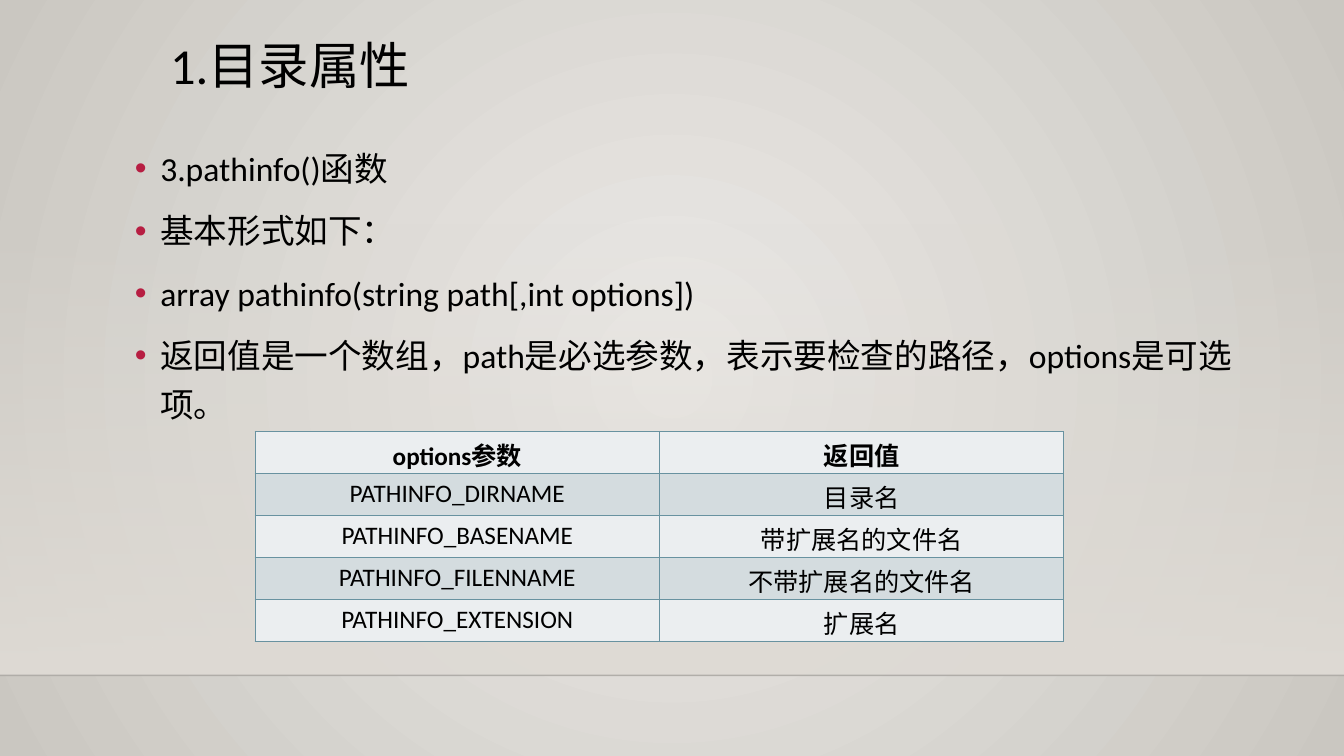
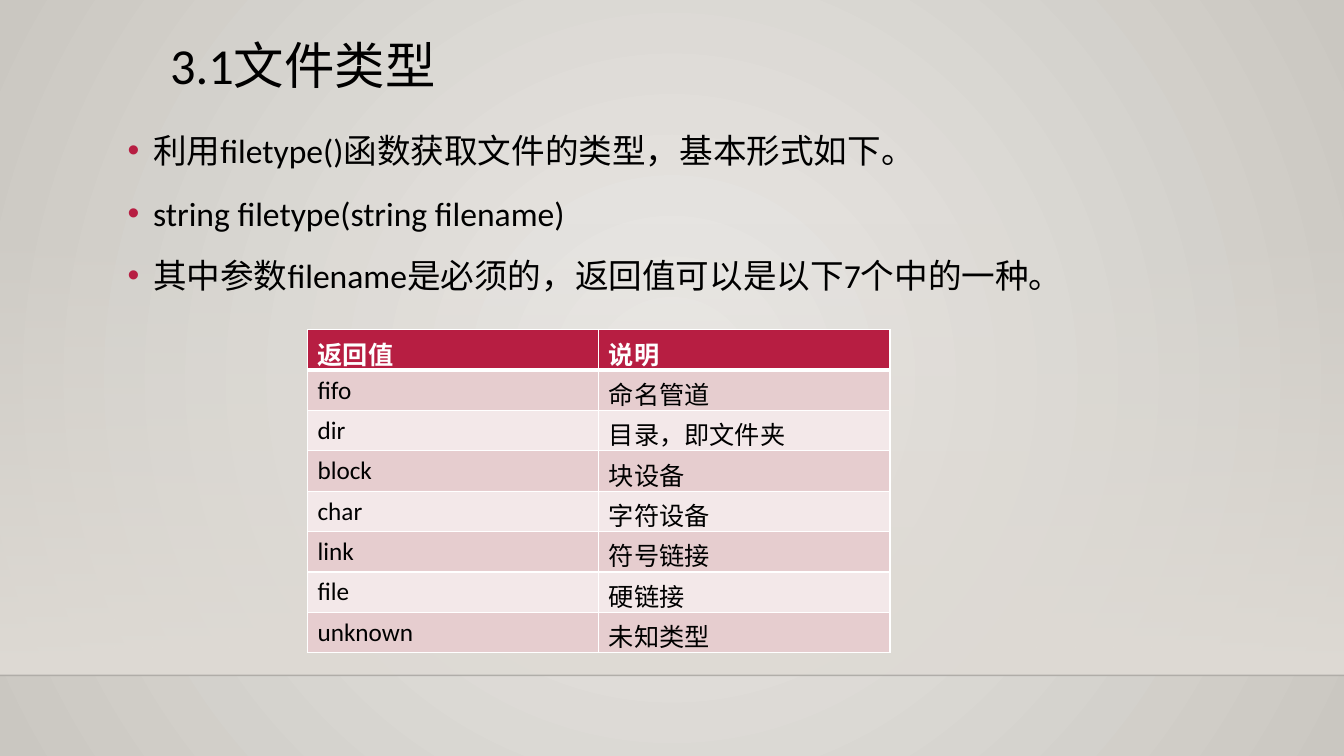
from lxml import etree
from pptx import Presentation
from pptx.dml.color import RGBColor
from pptx.enum.shapes import MSO_CONNECTOR, MSO_SHAPE
from pptx.enum.text import PP_ALIGN
from pptx.oxml.ns import qn
from pptx.util import Cm, Pt

RECT, LINE = MSO_SHAPE.RECTANGLE, MSO_CONNECTOR.STRAIGHT
LEFT, MID = PP_ALIGN.LEFT, PP_ALIGN.CENTER
FONT = "Calibri"
WIDE, HIGH = Cm(33.87), Cm(19.05)

BLACK = RGBColor(0x00, 0x00, 0x00)
WHITE = RGBColor(0xFF, 0xFF, 0xFF)
RED = RGBColor(0xB7, 0x1E, 0x42)
ROSE = RGBColor(0xE6, 0xCD, 0xCF)
PINK = RGBColor(0xF3, 0xE8, 0xE9)
TEAL = RGBColor(0x68, 0x92, 0xA0)
MIST = RGBColor(0xEB, 0xEE, 0xF0)
GREY = RGBColor(0xD4, 0xDC, 0xDF)
SAND = RGBColor(0xDF, 0xDB, 0xD5)
GLOW = RGBColor(0xEC, 0xEA, 0xE7)
EDGE = RGBColor(0xCA, 0xC7, 0xC1)

# Table looks: rule = bottom line of the head row, bands = body fills in turn
COOL = dict(head=MIST, ink=BLACK, bands=(GREY, MIST), line=TEAL, rule=1, align=MID)
WARM = dict(head=RED, ink=WHITE, bands=(ROSE, PINK), line=WHITE, rule=3, align=LEFT)

# Content; boxes are left, top, width, height in cm
SLIDES = [
    dict(
        title="1.目录属性",
        box=(3.15, 3.4, 28.78, 8.13),
        points=[
            "3.pathinfo()函数",
            "基本形式如下：",
            "array pathinfo(string path[,int options])",
            "返回值是一个数组，path是必选参数，表示要检查的路径，options是可选项。",
        ],
        look=COOL, spot=(6.43, 10.87), cell=(10.19, 1.06),
        rows=[
            ("options参数", "返回值"),
            ("PATHINFO_DIRNAME", "目录名"),
            ("PATHINFO_BASENAME", "带扩展名的文件名"),
            ("PATHINFO_FILENNAME", "不带扩展名的文件名"),
            ("PATHINFO_EXTENSION", "扩展名"),
        ],
    ),
    dict(
        title="3.1文件类型",
        box=(2.97, 2.95, 28.78, 5.38),
        points=[
            "利用filetype()函数获取文件的类型，基本形式如下。",
            "string filetype(string filename)",
            "其中参数filename是必须的，返回值可以是以下7个中的一种。",
        ],
        look=WARM, spot=(7.75, 8.31), cell=(7.34, 0.91),
        rows=[
            ("返回值", "说明"),
            ("fifo", "命名管道"),
            ("dir", "目录，即文件夹"),
            ("block", "块设备"),
            ("char", "字符设备"),
            ("link", "符号链接"),
            ("file", "硬链接"),
            ("unknown", "未知类型"),
        ],
    ),
]


def sub(node, tag, **attrs):
    item = etree.SubElement(node, qn(tag))
    for key, val in attrs.items():
        item.set(key, str(val))
    return item


def blend(fill, first, last):
    fill.gradient()
    for stop, color, spot in zip(fill.gradient_stops, (first, last), (0, 1)):
        stop.color.rgb = color
        stop.position = spot


def write(para, text, size, ink=BLACK, bold=False):
    run = para.add_run()
    run.text = text
    font = run.font
    font.size, font.name, font.bold = Pt(size), FONT, bold
    font.color.rgb = ink


def backdrop(master):
    """Radial glow shared by every slide."""
    blend(master.background.fill, GLOW, EDGE)
    grad = master.element.find(".//" + qn("p:bgPr") + "/" + qn("a:gradFill"))
    for lin in grad.findall(qn("a:lin")):
        grad.remove(lin)
    ring = sub(grad, "a:path", path="circle")
    sub(ring, "a:fillToRect", l=50000, t=50000, r=50000, b=50000)


def floor(slide):
    """Band that fades in, and the faint line under it."""
    base = Cm(17.02)
    top = Cm(5.61)
    band = slide.shapes.add_shape(RECT, 0, top, WIDE, base - top)
    band.shadow.inherit = False
    band.line.fill.background()
    blend(band.fill, SAND, SAND)
    band.fill.gradient_angle = 270
    clear = band.element.find(".//" + qn("a:gs") + "/" + qn("a:srgbClr"))
    sub(clear, "a:alpha", val=0)

    edge = slide.shapes.add_connector(LINE, 0, base, WIDE, base)
    edge.line.width = Pt(1)
    edge.line.color.rgb = BLACK
    tint = edge.element.find(".//" + qn("a:ln") + "//" + qn("a:srgbClr"))
    sub(tint, "a:alpha", val=20000)
    sub(edge.element.spPr, "a:effectLst")


def textbox(slide, box):
    frame = slide.shapes.add_textbox(*map(Cm, box)).text_frame
    frame.word_wrap = True
    return frame


def heading(slide, text):
    para = textbox(slide, (4.04, 0.91, 26.67, 2.92)).paragraphs[0]
    para.line_spacing = 0.9
    write(para, text, 36)


def bullets(slide, box, points):
    frame = textbox(slide, box)
    for i, text in enumerate(points):
        para = frame.add_paragraph() if i else frame.paragraphs[0]
        para.line_spacing = 1.2
        para.space_before = Pt(10)
        write(para, text, 24)
        props = para._p.get_or_add_pPr()
        props.set("marL", str(Cm(0.64)))
        props.set("indent", str(-Cm(0.64)))
        sub(sub(props, "a:buClr"), "a:srgbClr", val=RED)
        sub(props, "a:buFont", typeface="Arial")
        sub(props, "a:buChar", char="•")


def border(cell, color, top, bottom):
    props = cell._tc.get_or_add_tcPr()
    for side, width in zip("LRTB", (1, 1, top, bottom)):
        line = sub(props, "a:ln" + side, w=Pt(width))
        sub(sub(line, "a:solidFill"), "a:srgbClr", val=color)


def grid(slide, look, spot, size, rows):
    wide, high = map(Cm, size)
    count, cols = len(rows), len(rows[0])
    left, top = map(Cm, spot)
    table = slide.shapes.add_table(
        count, cols, left, top, wide * cols, high * count).table
    table.first_row = table.horz_banding = False
    for col in table.columns:
        col.width = wide
    for r, row in enumerate(rows):
        table.rows[r].height = high
        head = r == 0
        for c, text in enumerate(row):
            cell = table.cell(r, c)
            border(cell, look["line"],
                   look["rule"] if r == 1 else 1, look["rule"] if head else 1)
            cell.fill.solid()
            cell.fill.fore_color.rgb = look["head"] if head else look["bands"][(r - 1) % 2]
            para = cell.text_frame.paragraphs[0]
            para.alignment = look["align"]
            write(para, text, 18, look["ink"] if head else BLACK, head)


def main():
    prs = Presentation()
    prs.slide_width, prs.slide_height = WIDE, HIGH
    backdrop(prs.slide_master)
    for page in SLIDES:
        slide = prs.slides.add_slide(prs.slide_layouts[6])
        floor(slide)
        heading(slide, page["title"])
        bullets(slide, page["box"], page["points"])
        grid(slide, page["look"], page["spot"], page["cell"], page["rows"])
    prs.save("out.pptx")


if __name__ == "__main__":
    main()
